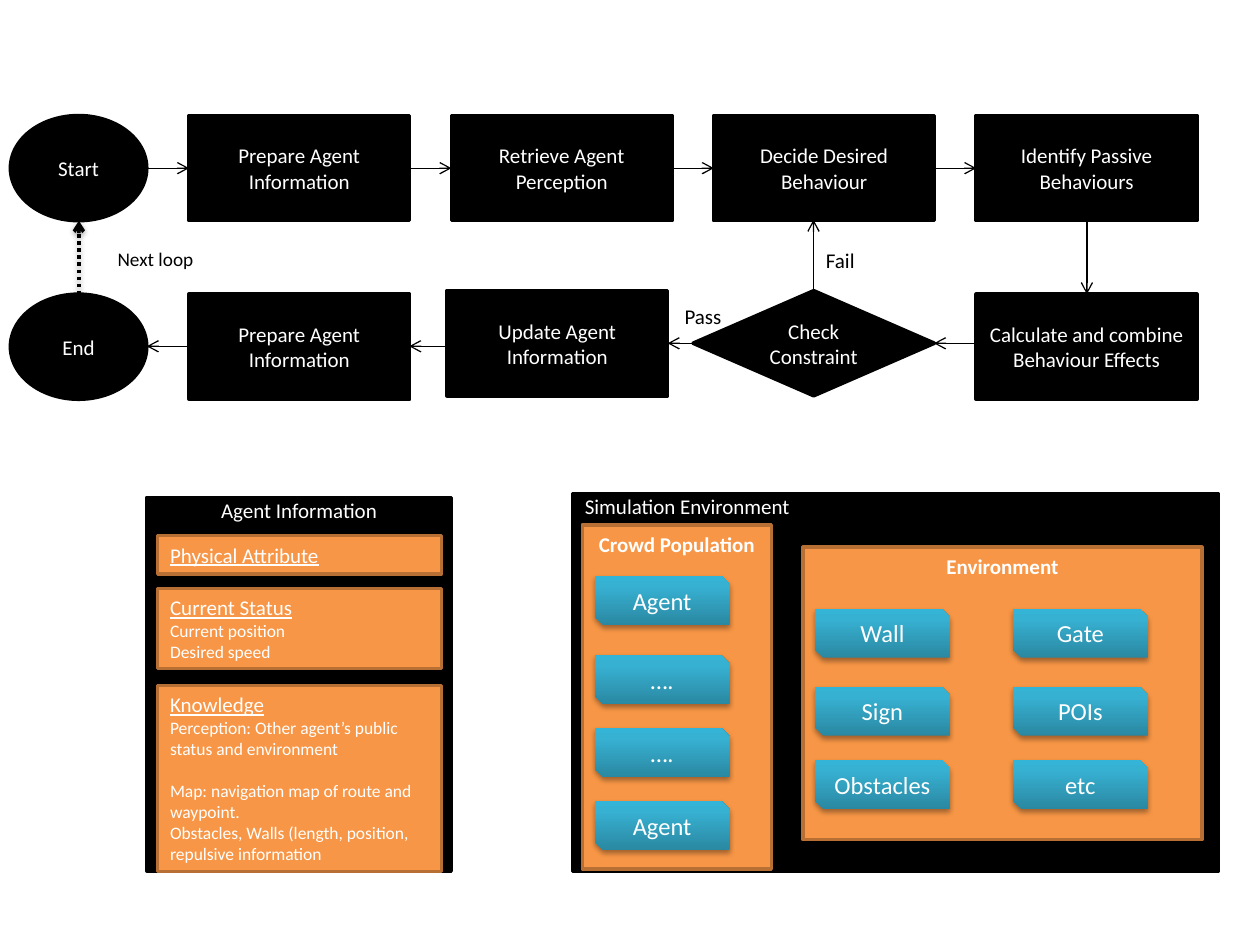
from copy import deepcopy
from itertools import product
from typing import NamedTuple

from lxml import etree
from pptx import Presentation
from pptx.dml.color import RGBColor
from pptx.enum.dml import MSO_LINE
from pptx.enum.shapes import MSO_CONNECTOR, MSO_SHAPE as Shape
from pptx.enum.text import MSO_ANCHOR as Anchor, PP_ALIGN as Align
from pptx.oxml.ns import qn
from pptx.util import Cm, Pt

BLACK = RGBColor(0x00, 0x00, 0x00)
WHITE = RGBColor(0xFF, 0xFF, 0xFF)
ORANGE = RGBColor(0xF7, 0x96, 0x46)
BROWN = RGBColor(0xB7, 0x6F, 0x34)
TEAL_STOPS = [
    (0, RGBColor(0x2A, 0x88, 0xA2)),
    (0.8, RGBColor(0x37, 0xB1, 0xD2)),
    (1, RGBColor(0x34, 0xB4, 0xD6)),
]
FONT = "Calibri"


class Box(NamedTuple):
    """Left, top, width and height in centimetres."""
    left: float
    top: float
    width: float
    height: float


class Line(NamedTuple):
    """One paragraph with its look."""
    text: str
    size: float = 12
    bold: bool = False
    underline: bool = False
    space_before: float = 0


class Step(NamedTuple):
    label: str
    box: Box
    outline: Shape = Shape.RECTANGLE


class Arrow(NamedTuple):
    """Start and end points in centimetres."""
    x1: float
    y1: float
    x2: float
    y2: float
    dotted: bool = False


class Panel(NamedTuple):
    box: Box
    lines: list[Line]
    fill: RGBColor = ORANGE
    edge: RGBColor = BROWN
    align: Align = Align.LEFT
    top_inset: float = 0.13


STEP_W, STEP_H, GAP = 4.45, 2.12, 0.85
COLUMNS = [3.81 + 5.29 * i for i in range(4)]
UPPER, LOWER, CHECK_TOP = 2.33, 5.93, 5.86
UPPER_MID, LOWER_MID, CHECK_MID = 3.39, 6.98, 6.92
UPPER_END = UPPER + STEP_H
END_X, CHECK_X = 1.59, 16.4

TOP_LABELS = ["Prepare Agent Information", "Retrieve Agent Perception",
              "Decide Desired Behaviour", "Identify Passive Behaviours"]
STEPS = [
    Step("Start", Box(0.21, UPPER, 2.75, STEP_H), Shape.OVAL),
    Step("End", Box(0.21, LOWER, 2.75, STEP_H), Shape.OVAL),
    *(Step(label, Box(x, UPPER, STEP_W, STEP_H))
      for label, x in zip(TOP_LABELS, COLUMNS)),
    Step("Calculate and combine Behaviour Effects",
         Box(COLUMNS[3], LOWER, STEP_W, STEP_H)),
    Step("Check Constraint", Box(13.97, CHECK_TOP, 4.87, STEP_H), Shape.DIAMOND),
    Step("Update Agent Information", Box(9.01, CHECK_TOP, STEP_W, STEP_H)),
    Step("Prepare Agent Information", Box(COLUMNS[0], LOWER, STEP_W, STEP_H)),
]
ARROWS = [
    Arrow(END_X, LOWER, END_X, UPPER_END, dotted=True),
    *(Arrow(x - GAP, UPPER_MID, x, UPPER_MID) for x in COLUMNS),
    Arrow(21.91, UPPER_END, 21.91, LOWER),
    Arrow(COLUMNS[3], CHECK_MID, COLUMNS[3] - GAP, CHECK_MID),
    Arrow(CHECK_X, CHECK_TOP, CHECK_X, UPPER_END - 0.02),
    Arrow(13.97, CHECK_MID, 13.46, CHECK_MID),
    *(Arrow(x, LOWER_MID, x - GAP, LOWER_MID) for x in COLUMNS[:2]),
]
ARROW_NOTES = [
    (Line("Next loop", 11), Box(2.12, 4.87, 2.12, 0.74)),
    (Line("Fail"), Box(CHECK_X, 4.87, 1.59, 0.75)),
    (Line("Pass"), Box(13.55, 5.99, 1.59, 0.75)),
]
PANELS = [
    Panel(Box(2.96, 10.03, 6.14, 7.53), [Line("Agent Information")],
          BLACK, BLACK, Align.CENTER, 0),
    Panel(Box(3.18, 10.8, 5.72, 0.77), [Line("Physical Attribute", underline=True)]),
    Panel(Box(3.18, 11.86, 5.72, 1.62), [
        Line("Current Status", underline=True),
        Line("Current position", 10),
        Line("Desired speed", 10),
    ]),
    Panel(Box(3.18, 13.82, 5.72, 3.75), [
        Line("Knowledge", underline=True),
        Line("Perception: Other agent’s public status and environment", 10),
        Line("Map: navigation map of route and waypoint.", 10, space_before=12),
        Line("Obstacles, Walls (length, position, repulsive information", 10),
    ]),
    Panel(Box(11.54, 9.95, 13.02, 7.62), [Line("Simulation Environment")],
          BLACK, BLACK, top_inset=0),
    Panel(Box(11.74, 10.58, 3.81, 6.94), [Line("Crowd Population", bold=True)],
          align=Align.CENTER),
    Panel(Box(16.19, 11.03, 8.04, 5.9), [Line("Environment", bold=True)],
          align=Align.CENTER),
]
CROWD = zip(["Agent", "….", "….", "Agent"],
            product([11.99], [11.61, 13.21, 14.68, 16.15]))
SURROUNDINGS = zip(["Wall", "Sign", "Obstacles", "Gate", "POIs", "etc"],
                   product([16.43, 20.42], [12.27, 13.84, 15.32]))


def write(frame, lines: list[Line], color: RGBColor, align: Align, anchor: Anchor) -> None:
    frame.word_wrap = True
    frame.vertical_anchor = anchor
    for i, line in enumerate(lines):
        paragraph = frame.paragraphs[0] if i == 0 else frame.add_paragraph()
        paragraph.alignment = align
        paragraph.space_before = Pt(line.space_before)
        run = paragraph.add_run()
        run.text = line.text
        font = run.font
        font.name, font.size = FONT, Pt(line.size)
        font.bold, font.underline = line.bold, line.underline
        font.color.rgb = color


def add_shadow(effects, alpha: int, distance: int) -> None:
    """Put a soft downward black shadow into an effect list."""
    shadow = etree.SubElement(effects, qn("a:outerShdw"), blurRad="40000",
                              dist=str(distance), dir="5400000", rotWithShape="0")
    color = etree.SubElement(shadow, qn("a:srgbClr"), val=str(BLACK))
    etree.SubElement(color, qn("a:alpha"), val=str(alpha * 1000))


def add_outline(shapes, outline: Shape, box: Box):
    shape = shapes.add_shape(outline, *map(Cm, box))
    shape.shadow.inherit = False
    return shape


def add_filled(shapes, outline: Shape, box: Box, fill: RGBColor, edge: RGBColor):
    shape = add_outline(shapes, outline, box)
    shape.fill.solid()
    shape.fill.fore_color.rgb = fill
    shape.line.color.rgb = edge
    shape.line.width = Pt(2)
    return shape


def add_step(shapes, step: Step) -> None:
    shape = add_filled(shapes, step.outline, step.box, BLACK, BLACK)
    write(shape.text_frame, [Line(step.label)], WHITE, Align.CENTER, Anchor.MIDDLE)


def add_arrow(shapes, arrow: Arrow) -> None:
    connector = shapes.add_connector(MSO_CONNECTOR.STRAIGHT, *map(Cm, arrow[:4]))
    connector.line.color.rgb = BLACK
    connector.line.width = Pt(2 if arrow.dotted else 0.75)
    if arrow.dotted:
        connector.line.dash_style = MSO_LINE.ROUND_DOT
    properties = connector._element.spPr
    etree.SubElement(properties.find(qn("a:ln")), qn("a:tailEnd"), type="arrow")
    effects = etree.SubElement(properties, qn("a:effectLst"))
    if arrow.dotted:
        add_shadow(effects, 38, 20000)


def add_panel(shapes, panel: Panel) -> None:
    shape = add_filled(shapes, Shape.RECTANGLE, panel.box, panel.fill, panel.edge)
    shape.text_frame.margin_top = Cm(panel.top_inset)
    write(shape.text_frame, panel.lines, WHITE, panel.align, Anchor.TOP)


def add_tag(shapes, label: str, left: float, top: float) -> None:
    shape = add_outline(shapes, Shape.SNIP_2_DIAG_RECTANGLE, Box(left, top, 2.72, 0.99))
    shape.line.fill.background()
    shape.fill.gradient()
    shape.fill.gradient_angle = 90
    properties = shape._element.spPr
    stop_list = properties.find(".//" + qn("a:gsLst"))
    stop_list.append(deepcopy(stop_list[-1]))
    for stop, (position, color) in zip(shape.fill.gradient_stops, TEAL_STOPS):
        stop.position, stop.color.rgb = position, color
    add_shadow(properties.find(qn("a:effectLst")), 35, 23000)
    write(shape.text_frame, [Line(label, 14)], WHITE, Align.CENTER, Anchor.MIDDLE)


def main() -> None:
    deck = Presentation()
    deck.slide_width, deck.slide_height = Cm(25.4), Cm(19.05)
    shapes = deck.slides.add_slide(deck.slide_layouts[6]).shapes
    for step in STEPS:
        add_step(shapes, step)
    for arrow in ARROWS:
        add_arrow(shapes, arrow)
    for line, box in ARROW_NOTES:
        note = shapes.add_textbox(*map(Cm, box))
        write(note.text_frame, [line], BLACK, Align.LEFT, Anchor.TOP)
    for panel in PANELS:
        add_panel(shapes, panel)
    for label, (left, top) in [*CROWD, *SURROUNDINGS]:
        add_tag(shapes, label, left, top)
    deck.save("out.pptx")


if __name__ == "__main__":
    main()
